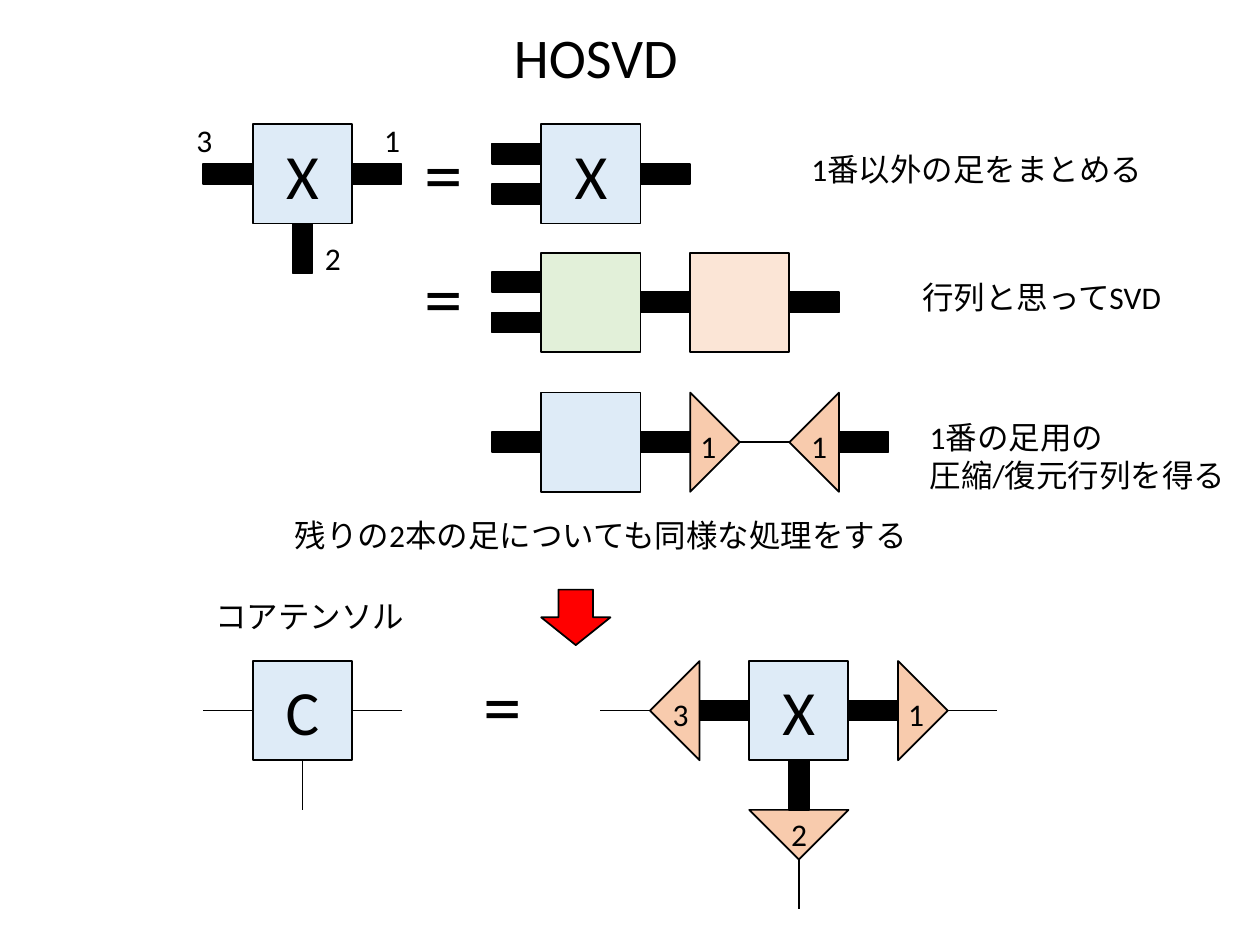
import pptx
import pptx.util
import pptx.dml.color
import pptx.enum.shapes
import pptx.enum.text
import pptx.oxml.ns
import lxml.etree

Inches = pptx.util.Inches
SHAPE = pptx.enum.shapes.MSO_SHAPE

COLORS = {
    "black": "000000", "blue": "DEEBF7", "green": "E2F0D9",
    "peach": "FBE5D6", "orange": "F8CBAD", "red": "FF0000",
}
U = 1 / 2.54  # grid unit: length of one tensor leg
THICK = 0.16  # thickness of a leg


def rgb(name):
    return pptx.dml.color.RGBColor.from_string(COLORS[name])


def write(tf, text, size=18, align=None):
    """Fill a text frame, one paragraph per line of text."""
    for i, line in enumerate(text.split("\n")):
        p = tf.add_paragraph() if i else tf.paragraphs[0]
        p.alignment = align
        r = p.add_run()
        r.text = line
        r.font.size = pptx.util.Pt(size)
        r.font.name = "Calibri"
        r.font.color.rgb = rgb("black")


class Diagram:
    def __init__(self, s):
        self.s = s
        self.shapes = s.shapes

    def group(self):
        """Send the next elements to a new group."""
        self.shapes = self.s.shapes.add_group_shape().shapes

    def ungroup(self):
        self.shapes = self.s.shapes

    def shape(self, kind, x, y, w, h, fill, rot=0):
        """Preset shape centred on x, y."""
        sp = self.shapes.add_shape(kind, Inches(x - w / 2), Inches(y - h / 2),
                                   Inches(w), Inches(h))
        sp.shadow.inherit = False
        sp.fill.solid()
        sp.fill.fore_color.rgb = rgb(fill)
        sp.line.color.rgb = rgb("black")
        sp.line.width = pptx.util.Pt(1)
        sp.rotation = rot
        return sp

    def tensor(self, x, y, text="", fill="blue"):
        sp = self.shape(SHAPE.RECTANGLE, x, y, 2 * U, 2 * U, fill)
        if text:
            tf = sp.text_frame
            tf.vertical_anchor = pptx.enum.text.MSO_ANCHOR.MIDDLE
            write(tf, text, size=36, align=pptx.enum.text.PP_ALIGN.CENTER)

    def leg(self, x, y, rot=0):
        self.shape(SHAPE.RECTANGLE, x, y, U, THICK, "black", rot)

    def double_leg(self, x, y):
        for dy in (-THICK, THICK):
            self.leg(x, y + dy)

    def isometry(self, x, y, rot):
        self.shape(SHAPE.ISOSCELES_TRIANGLE, x, y, 2 * U, U, "orange", rot)

    def line(self, x1, y1, x2, y2):
        c = self.shapes.add_connector(pptx.enum.shapes.MSO_CONNECTOR.STRAIGHT,
                                      Inches(x1), Inches(y1), Inches(x2), Inches(y2))
        c.line.color.rgb = rgb("black")
        c.line.width = pptx.util.Pt(1)
        sp_pr = c._element.spPr
        lxml.etree.SubElement(sp_pr, pptx.oxml.ns.qn("a:effectLst"))

    def text(self, x, y, w, h, text, size=18, wrap=False):
        tb = self.shapes.add_textbox(Inches(x), Inches(y), Inches(w), Inches(h))
        tf = tb.text_frame
        tf.word_wrap = wrap
        tf.auto_size = pptx.enum.text.MSO_AUTO_SIZE.SHAPE_TO_FIT_TEXT
        write(tf, text, size=size)


def main():
    prs = pptx.Presentation()
    prs.slide_width, prs.slide_height = Inches(10), Inches(7.5)
    d = Diagram(prs.slides.add_slide(prs.slide_layouts[6]))

    left, mid, right = 2.4, 4.69, 6.34           # tensor centres
    row1, row2, row3, row4 = 1.38, 2.4, 3.51, 5.64

    # Title
    d.text(3.98, 0.13, 1.52, 0.64, "HOSVD", size=32)

    # Row 1: three-leg tensor, then its legs bundled
    d.tensor(left, row1, "X")
    d.leg(left, row1 + 1.5 * U, rot=90)
    for dx in (-1.5 * U, 1.5 * U):
        d.leg(left + dx, row1)
    d.tensor(mid, row1, "X")
    d.double_leg(mid - 1.5 * U, row1)
    d.leg(mid + 1.5 * U, row1)

    # Row 2: SVD
    d.tensor(mid, row2, fill="green")
    d.tensor(mid + 3 * U, row2, fill="peach")
    d.double_leg(mid - 1.5 * U, row2)
    for dx in (1.5 * U, 4.5 * U):
        d.leg(mid + dx, row2)

    # Row 3: compression and restoration matrices
    d.tensor(mid, row3)
    for dx in (-1.5 * U, 1.5 * U, 5.5 * U):
        d.leg(mid + dx, row3)
    d.isometry(mid + 2.5 * U, row3, rot=90)
    d.isometry(mid + 4.5 * U, row3, rot=270)
    d.line(mid + 3 * U, row3, mid + 4 * U, row3)

    # Row 4: core tensor, and X with a matrix on each leg
    d.tensor(left, row4, "C")
    for dx, dy, rot in ((-1, 0, 270), (0, 1, 180), (1, 0, 90)):
        d.line(left + dx * U, row4 + dy * U,
               left + 2 * dx * U, row4 + 2 * dy * U)
        d.group()
        d.isometry(right + 2.5 * dx * U, row4 + 2.5 * dy * U, rot)
        d.line(right + 3 * dx * U, row4 + 3 * dy * U,
               right + 4 * dx * U, row4 + 4 * dy * U)
        d.leg(right + 1.5 * dx * U, row4 + 1.5 * dy * U, rot=90 * dy)
        d.ungroup()
    d.tensor(right, row4, "X")

    # Equals signs
    for x, y in ((3.27, 0.95), (3.27, 1.93), (3.74, 5.17)):
        d.text(x, y, 0.51, 0.84, "=", size=44)

    # Leg numbers
    for number, x, y in (
        ("1", 2.95, 0.91), ("2", 2.48, 1.85), ("3", 1.46, 0.91),
        ("1", 5.46, 3.34), ("1", 6.34, 3.34),
        ("1", 7.11, 5.47), ("2", 6.18, 6.42), ("3", 5.24, 5.47),
    ):
        d.text(x, y, 0.33, 0.4, number)

    # Explanations
    d.text(1.61, 4.69, 1.72, 0.4, "コアテンソル")
    for x, y, w, h, note in (
        (6.34, 1.14, 2.85, 0.4, "1番以外の足をまとめる"),
        (7.22, 2.16, 2.13, 0.4, "行列と思ってSVD"),
        (7.28, 3.27, 2.57, 0.71, "1番の足用の\n圧縮/復元行列を得る"),
        (2.24, 4.05, 5.13, 0.4, "残りの2本の足についても同様な処理をする"),
    ):
        d.text(x, y, w, h, note, wrap=True)

    # Arrow to the result
    d.shape(SHAPE.DOWN_ARROW, 4.57, 4.9, 0.55, 0.44, "red")

    prs.save("out.pptx")


if __name__ == "__main__":
    main()
